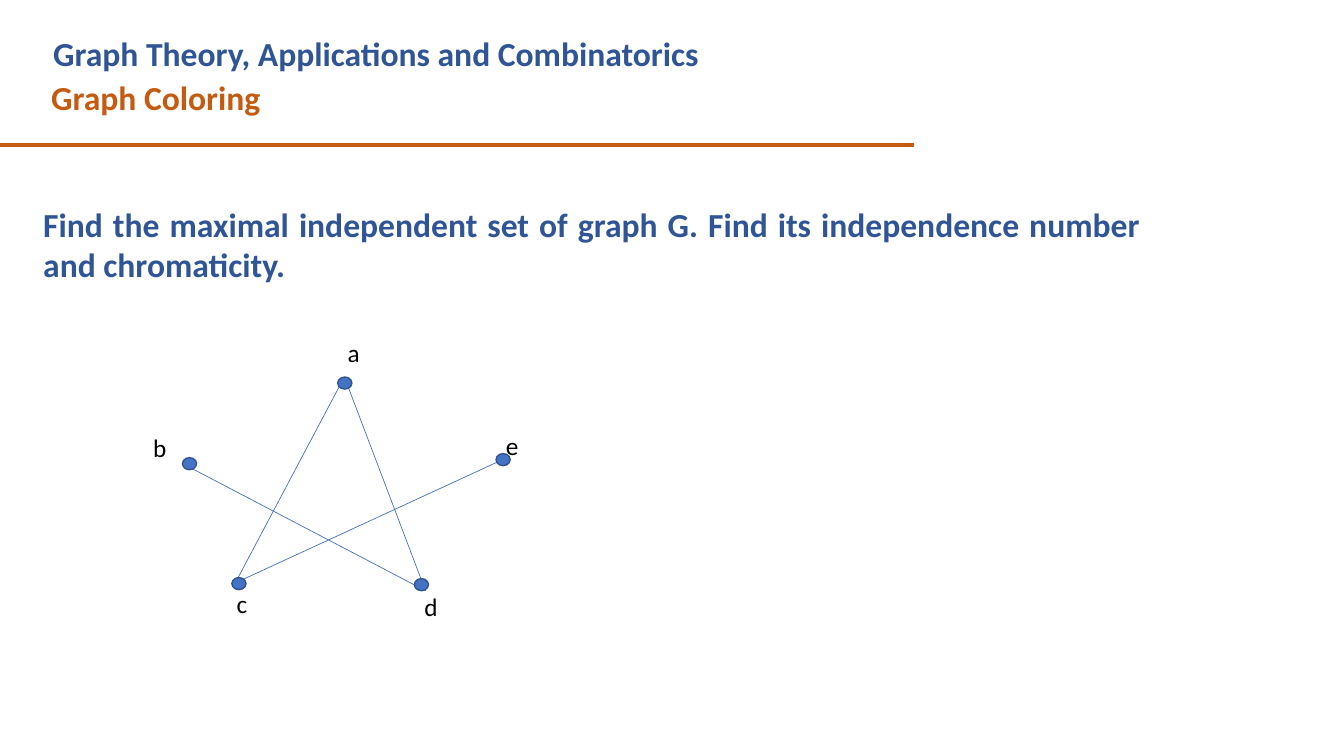
from lxml import etree
from pptx import Presentation
from pptx import util as u
from pptx.dml.color import RGBColor
from pptx.enum import shapes, text
from pptx.oxml.ns import qn

BLUE, ORANGE, DOT, RIM, BLACK = "2F5597", "C55A11", "4472C4", "325491", "000000"
HEADING = {"size": u.Pt(24), "bold": True}
LABEL = {"size": u.Pt(18), "bold": False}
DOT_W, DOT_H = 0.14, 0.12

EDGES = [
    ((2.01, 0.45), (0.93, 2.49)),
    ((2.02, 0.45), (2.82, 2.56)),
    ((0.92, 2.49), (3.65, 1.23)),
    ((2.82, 2.56), (0.45, 1.32)),
]
VERTICES = {
    "e": ((3.52, 1.2), (3.52, 0.92)),
    "d": ((2.71, 2.44), (2.71, 2.52)),
    "b": ((0.41, 1.24), (0.02, 0.94)),
    "c": ((0.9, 2.43), (0.85, 2.49)),
    "a": ((1.95, 0.44), (1.95, 0)),
}


def rgb(value):
    """Turn a hex string into a colour."""
    return RGBColor.from_string(value)


def add_text(s, box, words, color, style, align=text.PP_ALIGN.LEFT):
    """Add a one-paragraph text box."""
    tf = s.shapes.add_textbox(*map(u.Inches, box)).text_frame
    tf.word_wrap = True
    tf.auto_size = text.MSO_AUTO_SIZE.SHAPE_TO_FIT_TEXT
    p = tf.paragraphs[0]
    p.alignment = align
    r = p.add_run()
    r.text = words
    for name, value in {"name": "Calibri", **style}.items():
        setattr(r.font, name, value)
    r.font.color.rgb = rgb(color)


def add_line(s, start, end, color, width):
    """Add a straight line without a shadow."""
    ends = map(u.Inches, (*start, *end))
    sp = s.shapes.add_connector(shapes.MSO_CONNECTOR.STRAIGHT, *ends)
    sp.line.color.rgb = rgb(color)
    sp.line.width = u.Pt(width)
    etree.SubElement(sp._element.spPr, qn("a:effectLst"))


def add_dot(s, x, y):
    """Add a vertex dot."""
    box = map(u.Inches, (x, y, DOT_W, DOT_H))
    sp = s.shapes.add_shape(shapes.MSO_SHAPE.OVAL, *box)
    sp.shadow.inherit = False
    sp.fill.solid()
    sp.fill.fore_color.rgb = rgb(DOT)
    sp.line.color.rgb = rgb(RIM)
    sp.line.width = u.Pt(1)


def add_header(s, x, y, w):
    """Add the course title, the topic and the rule below them."""
    add_text(s, (x, y + 0.43, w, 0.5), "Graph Coloring", ORANGE, HEADING)
    add_line(s, (0, y + 1.16), (9.07, y + 1.16), ORANGE, 3)
    add_text(s, (x + 0.02, y, w, 0.5),
             "Graph Theory, Applications and Combinatorics", BLUE, HEADING)


def add_question(s, x, y, w, h):
    """Add the justified question."""
    add_text(s, (x, y, w, h),
             "Find the maximal independent set of graph G. "
             "Find its independence number and chromaticity.",
             BLUE, HEADING, text.PP_ALIGN.JUSTIFY)


def add_graph(s, x, y):
    """Add the edges, dots and labels of the graph."""
    for (x1, y1), (x2, y2) in EDGES:
        add_line(s, (x + x1, y + y1), (x + x2, y + y2), DOT, 0.5)
    for (dx, dy), _ in VERTICES.values():
        add_dot(s, x + dx, y + dy)
    for name, (_, (dx, dy)) in sorted(VERTICES.items()):
        add_text(s, (x + dx, y + dy, 0.5, 0.4), name, BLACK, LABEL)


def main():
    """Build and save the slide."""
    prs = Presentation()
    prs.slide_width, prs.slide_height = u.Inches(13.33), u.Inches(7.5)
    s = prs.slides.add_slide(prs.slide_layouts[6])
    add_header(s, 0.41, 0.28, 8.5)
    add_question(s, 0.33, 1.97, 11.08, 0.91)
    add_graph(s, 1.4, 3.3)
    prs.save("out.pptx")


if __name__ == "__main__":
    main()
